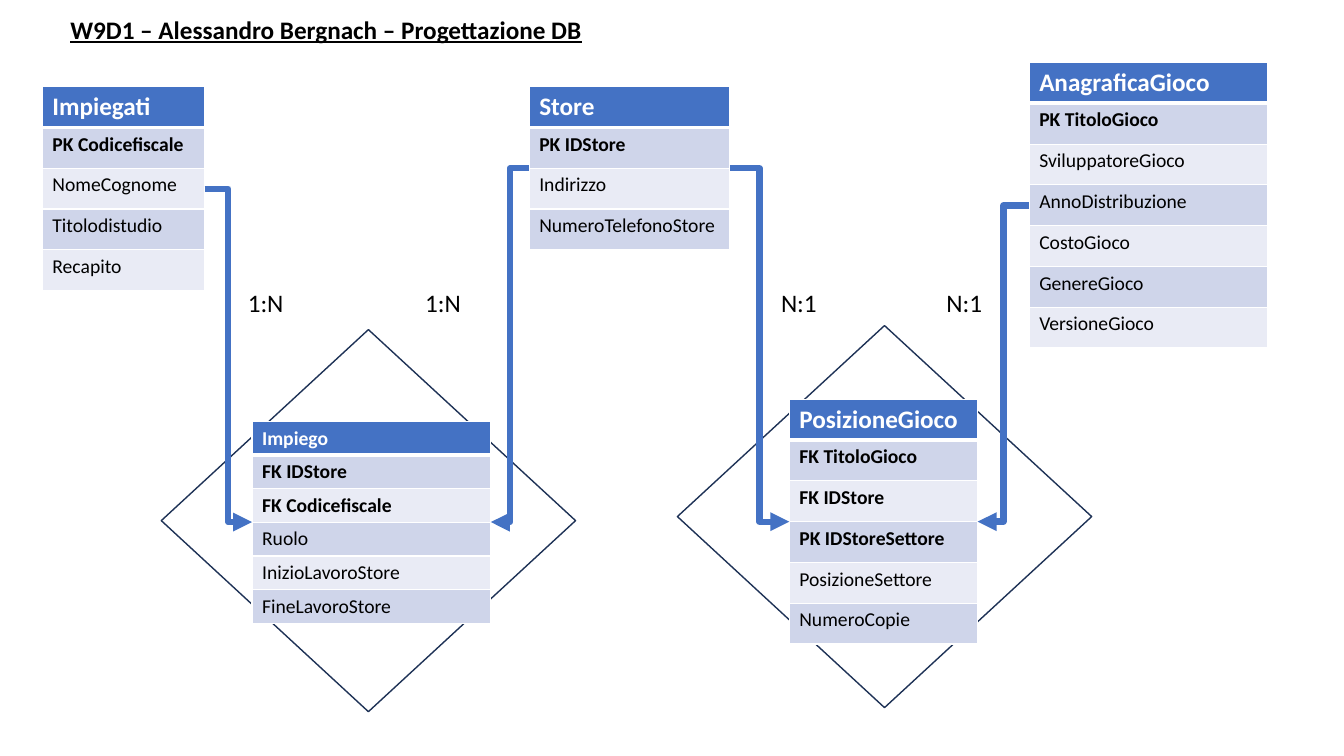
from lxml.etree import SubElement
from pptx import Presentation
from pptx.dml.color import RGBColor
from pptx.enum.shapes import MSO_CONNECTOR, MSO_SHAPE
from pptx.oxml.ns import qn
from pptx.util import Inches, Pt

BLUE, NAVY, WHITE, BLACK = "4472C4", "1E3256", "FFFFFF", "000000"
BANDS = ("CFD5EA", "E9EBF5")
FONT = "Calibri"
ROW = 4.05
DIAMOND_W, DIAMOND_H = 41.1, 37.9


def grid(*values):
    """Turn grid units of a tenth of an inch into lengths."""
    return [Inches(v / 10) for v in values]


def rgb(value):
    """Turn a hex string into a colour."""
    return RGBColor.from_string(value)


def paint(part, color):
    """Give a shape, line or cell a solid fill."""
    part.fill.solid()
    part.fill.fore_color.rgb = rgb(color)


def write(tf, text, size=18, color=BLACK, bold=False, underline=False):
    """Write one formatted run into a text frame."""
    r = tf.paragraphs[0].add_run()
    r.text = text
    font = r.font
    font.name, font.size, font.bold, font.underline = FONT, Pt(size), bold, underline
    font.color.rgb = rgb(color)


def add_text(slide, box, text, **style):
    """Place a wrapping text box."""
    tf = slide.shapes.add_textbox(*grid(*box)).text_frame
    tf.word_wrap = True
    write(tf, text, **style)


def add_borders(cell, top, bottom):
    """Draw white cell borders, with widths in points."""
    tc_pr = cell._tc.get_or_add_tcPr()
    for side, width in (("L", 1), ("R", 1), ("T", top), ("B", bottom)):
        ln = SubElement(tc_pr, qn("a:ln" + side), w=str(Pt(width)))
        SubElement(SubElement(ln, qn("a:solidFill")), qn("a:srgbClr"), val=WHITE)


def add_entity(slide, x, y, w, name, fields, row=ROW, size=18):
    """Place an entity table with bold keys and return its box."""
    names = [name, *fields]
    h = row * len(names)
    table = slide.shapes.add_table(len(names), 1, *grid(x, y, w, h)).table
    for i, text in enumerate(names):
        table.rows[i].height = grid(row)[0]
        cell = table.cell(i, 0)
        add_borders(cell, 3 if i == 1 else 1, 3 if i == 0 else 1)
        if i == 0:
            paint(cell, BLUE)
            write(cell.text_frame, text, size=size, color=WHITE, bold=True)
        else:
            paint(cell, BANDS[(i - 1) % 2])
            write(cell.text_frame, text, size=14, bold=text.startswith(("PK ", "FK ")))
    return x, y, w, h


def add_link(slide, start, end):
    """Join the facing sides of two boxes with a bent arrow."""
    (x1, y1, w1, h1), (x2, y2, w2, h2) = start, end
    begin, finish = (x1 + w1, x2) if x1 < x2 else (x1, x2 + w2)
    sp = slide.shapes.add_connector(
        MSO_CONNECTOR.ELBOW, *grid(begin, y1 + h1 / 2, finish, y2 + h2 / 2))
    sp.line.width = Pt(4.5)
    paint(sp.line, BLUE)
    SubElement(sp.line._get_or_add_ln(), qn("a:tailEnd"), type="triangle")
    SubElement(sp._element.spPr, qn("a:effectLst"))


def add_relation(slide, x, y, entities, ratio, labels, inset, w, name, fields, **style):
    """Place a diamond with its table, ratio labels and links to entities."""
    sp = slide.shapes.add_shape(MSO_SHAPE.DIAMOND, *grid(x, y, DIAMOND_W, DIAMOND_H))
    sp.shadow.inherit = False
    paint(sp, WHITE)
    paint(sp.line, NAVY)
    sp.line.width = Pt(1)
    dx, dy = inset
    box = add_entity(slide, x + dx, y + dy, w, name, fields, **style)
    for entity, label in zip(entities, labels):
        add_link(slide, entity, box)
        add_text(slide, (x + label, 28, 10, 4), ratio)


def build_diagram(slide):
    """Place the title, the entities and the relations."""
    add_text(slide, (6, 0.9, 63.3, 4), "W9D1 – Alessandro Bergnach – Progettazione DB",
             bold=True, underline=True)
    staff = add_entity(slide, 4.2, 8.6, 16.1, "Impiegati", [
        "PK Codicefiscale", "NomeCognome", "Titolodistudio", "Recapito"])
    store = add_entity(slide, 52.5, 8.6, 19.9, "Store", [
        "PK IDStore", "Indirizzo", "NumeroTelefonoStore"])
    game = add_entity(slide, 102.1, 6.2, 23.7, "AnagraficaGioco", [
        "PK TitoloGioco", "SviluppatoreGioco", "AnnoDistribuzione",
        "CostoGioco", "GenereGioco", "VersioneGioco"])
    add_relation(slide, 16, 32.7, (staff, store), "1:N", (7.6, 25.2), (9, 9.1), 23.7,
                 "Impiego", ["FK IDStore", "FK Codicefiscale", "Ruolo",
                             "InizioLavoroStore", "FineLavoroStore"],
                 row=3.33, size=14)
    add_relation(slide, 67.2, 32.3, (store, game), "N:1", (9.3, 25.7), (11.1, 7.3), 18.7,
                 "PosizioneGioco", ["FK TitoloGioco", "FK IDStore", "PK IDStoreSettore",
                                    "PosizioneSettore", "NumeroCopie"])


prs = Presentation()
prs.slide_width, prs.slide_height = grid(133.33, 75)
build_diagram(prs.slides.add_slide(prs.slide_layouts[6]))
prs.save("out.pptx")
